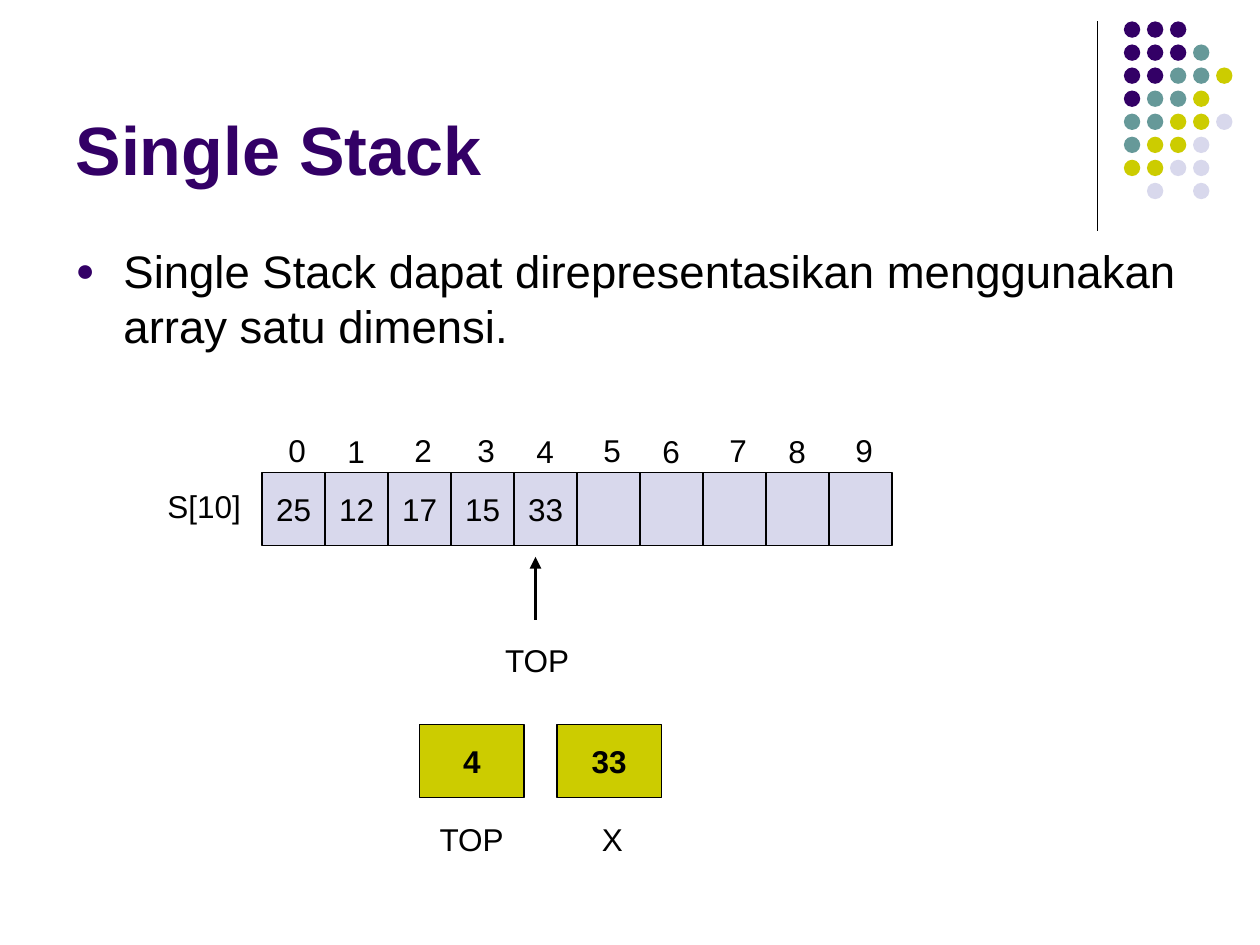
from lxml import etree
from pptx import Presentation
from pptx import util as u
from pptx.dml.color import RGBColor
from pptx.enum import shapes, text
from pptx.oxml.ns import qn

INK, PURPLE, TEAL, OLIVE, LILAC = "000000", "330066", "669999", "CCCC00", "D8D8EC"
LEFT, TOP, COL, ROW = 2.08, 3.75, 0.5, 0.58
DOT_ROWS = ("PPP", "PPPT", "PPTTO", "PTTO", "TTOOL", "TOOL", "OOLL", " L L")
DOT_COLORS = {"P": PURPLE, "T": TEAL, "O": OLIVE, "L": LILAC}


def color(value):
    """Turn a hex string into a colour."""
    return RGBColor.from_string(value)


def box(x, y, w, h):
    """Convert a box in inches to lengths."""
    return [u.Inches(v) for v in (x, y, w, h)]


def write(p, content, size=18, ink=INK, bold=False):
    """Add one Arial run to a paragraph."""
    r = p.add_run()
    r.text = content
    r.font.name, r.font.size, r.font.bold = "Arial", u.Pt(size), bold
    r.font.color.rgb = color(ink)


def fill_placeholder(sp, at, anchor):
    """Place a placeholder and return its first paragraph."""
    sp.left, sp.top, sp.width, sp.height = box(*at)
    tf = sp.text_frame
    tf.auto_size = text.MSO_AUTO_SIZE.NONE
    tf.vertical_anchor = anchor
    p = tf.paragraphs[0]
    p.alignment = text.PP_ALIGN.LEFT
    return p


def add_bullet(p, char, ink, percent, indent):
    """Give a paragraph a coloured bullet with a hanging indent."""
    pPr = p._p.get_or_add_pPr()
    pPr.set("marL", str(u.Inches(indent)))
    pPr.set("indent", str(-u.Inches(indent)))
    clr = etree.SubElement(pPr, qn("a:buClr"))
    etree.SubElement(clr, qn("a:srgbClr"), val=ink)
    etree.SubElement(pPr, qn("a:buSzPct"), val=str(percent * 1000))
    etree.SubElement(pPr, qn("a:buFont"), typeface="Arial")
    etree.SubElement(pPr, qn("a:buChar"), char=char)


def add_cell(s, x, y, w, fill, content="", bold=False):
    """Draw an outlined cell with an optional centred value."""
    sp = s.shapes.add_shape(shapes.MSO_SHAPE.RECTANGLE, *box(x, y, w, ROW))
    sp.shadow.inherit = False
    sp.fill.solid()
    sp.fill.fore_color.rgb = color(fill)
    sp.line.color.rgb = color(INK)
    sp.line.width = u.Pt(0.75)
    if content:
        tf = sp.text_frame
        tf.word_wrap = False
        tf.vertical_anchor = text.MSO_ANCHOR.MIDDLE
        tf.paragraphs[0].alignment = text.PP_ALIGN.CENTER
        write(tf.paragraphs[0], content, bold=bold)


def add_label(s, x, y, w, content, centred=False):
    """Add a one-line label."""
    tf = s.shapes.add_textbox(*box(x, y, w, 0.4)).text_frame
    tf.word_wrap = centred
    tf.auto_size = text.MSO_AUTO_SIZE.SHAPE_TO_FIT_TEXT
    if centred:
        tf.paragraphs[0].alignment = text.PP_ALIGN.CENTER
    write(tf.paragraphs[0], content)


def add_vertical(s, x, top, bottom, width, arrow=False):
    """Draw a vertical line, with an arrowhead at its top if asked."""
    ends = [u.Inches(v) for v in (x, top, x, bottom)]
    sp = s.shapes.add_connector(shapes.MSO_CONNECTOR.STRAIGHT, *ends)
    sp.line.color.rgb = color(INK)
    sp.line.width = u.Pt(width)
    if arrow:
        etree.SubElement(sp.line._get_or_add_ln(), qn("a:headEnd"), type="triangle")
    etree.SubElement(sp._element.spPr, qn("a:effectLst"))


def add_dots(s, x, y, pitch, size):
    """Draw the corner grid of coloured dots."""
    for row, keys in enumerate(DOT_ROWS):
        for col, key in enumerate(keys):
            if key in DOT_COLORS:
                at = box(x + col * pitch, y + row * pitch, size, size)
                sp = s.shapes.add_shape(shapes.MSO_SHAPE.OVAL, *at)
                sp.shadow.inherit = False
                sp.fill.solid()
                sp.fill.fore_color.rgb = color(DOT_COLORS[key])
                sp.line.fill.background()


def add_array(s, values, length):
    """Draw the stack array with an index above each cell."""
    for i in range(length):
        x = LEFT + i * COL
        add_cell(s, x, TOP, COL, LILAC, values[i] if i < len(values) else "")
        dx, dy = (0.08, 0.37) if i in (1, 4, 6, 8) else (0.11, 0.38)
        add_label(s, x + dx, TOP - dy, 0.34, str(i))
    add_label(s, 1.23, 3.82, 0.82, "S[10]")


def main():
    """Build the slide."""
    prs = Presentation()
    prs.slide_width, prs.slide_height = u.Inches(10), u.Inches(7.5)
    s = prs.slides.add_slide(prs.slide_layouts[1])
    add_vertical(s, 8.71, 0.17, 1.83, 0.75)
    add_dots(s, 8.92, 0.17, 0.183, 0.13)

    p = fill_placeholder(s.shapes.title, (0.5, 0.13, 8.25, 1.42), text.MSO_ANCHOR.BOTTOM)
    write(p, "Single Stack", 39, PURPLE, True)
    p = fill_placeholder(s.placeholders[1], (0.5, 1.88, 9, 4.82), text.MSO_ANCHOR.TOP)
    p.space_before = u.Pt(0)
    add_bullet(p, "●", PURPLE, 70, 0.38)
    write(p, "Single Stack dapat direpresentasikan menggunakan array satu dimensi.", 26)

    add_array(s, ("25", "12", "17", "15", "33"), 10)
    add_vertical(s, 4.25, 4.42, 4.92, 2.25, arrow=True)
    add_label(s, 3.91, 5.04, 0.71, "TOP")
    add_cell(s, 3.33, 5.75, 0.83, OLIVE, "4", True)
    add_label(s, 3.39, 6.46, 0.71, "TOP")
    add_cell(s, 4.42, 5.75, 0.83, OLIVE, "33", True)
    add_label(s, 4.47, 6.46, 0.78, "X", centred=True)
    prs.save("out.pptx")


if __name__ == "__main__":
    main()
